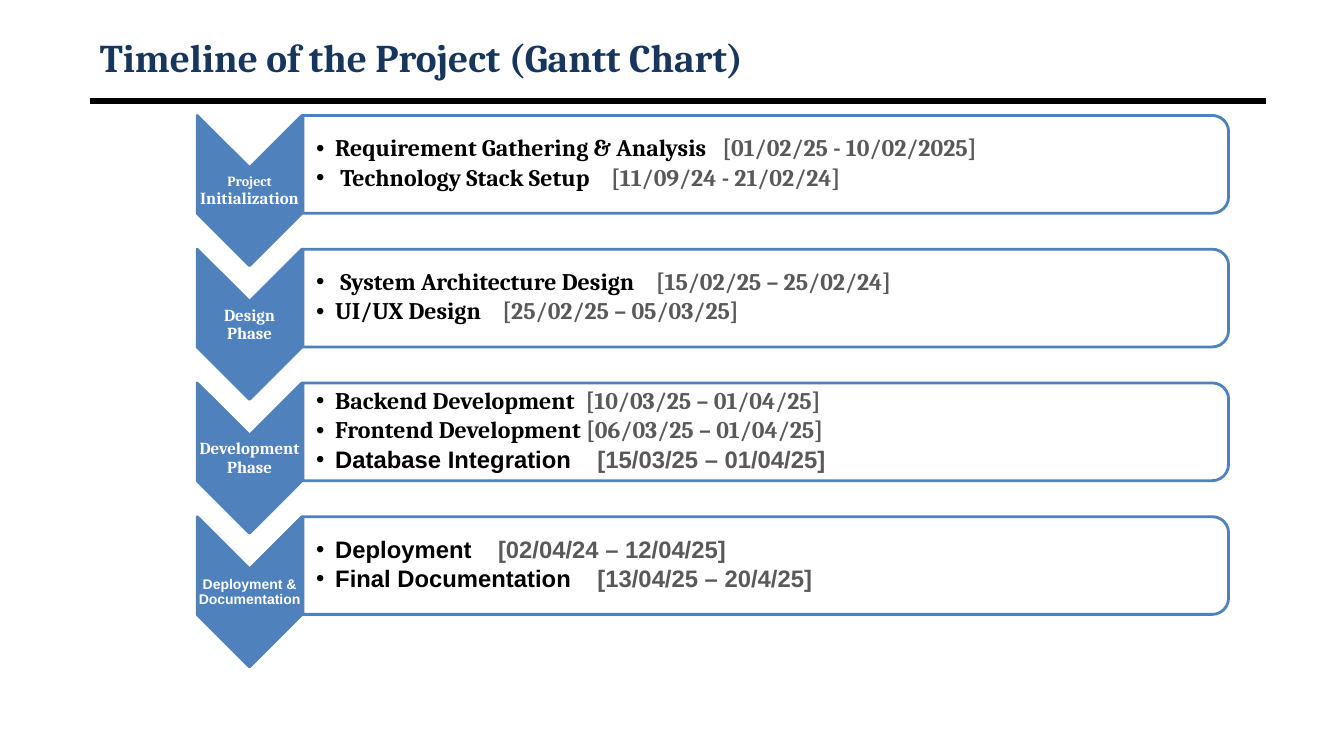
import dataclasses

import pptx
import pptx.dml.color
import pptx.enum.shapes
import pptx.enum.text
import pptx.oxml
import pptx.oxml.ns
import pptx.util

SHAPES = pptx.enum.shapes.MSO_SHAPE
ALIGN = pptx.enum.text.PP_ALIGN
SERIF, SANS = "Cambria", "Arial"


@dataclasses.dataclass(frozen=True)
class Theme:
    title: str = "17365D"
    accent: str = "4F81BD"
    white: str = "FFFFFF"
    black: str = "000000"
    date: str = "595959"
    title_size: int = 28
    task_size: int = 17
    line_spacing: float = 0.9


# Phase label runs (text, size), label font, tasks (name, date, font, extra gap in points)
PHASES = [
    ([("Project ", 10), ("Initialization", 12)], SERIF, [
        ("Requirement Gathering & Analysis", "[01/02/25 - 10/02/2025]", SERIF, 7.5),
        (" Technology Stack Setup", "[11/09/24 - 21/02/24]", SERIF, 11.5)]),
    ([("Design", 12), ("\n", 12), ("Phase", 12)], SERIF, [
        (" System Architecture Design", "[15/02/25 – 25/02/24]", SERIF, 11.5),
        ("UI/UX Design", "[25/02/25 – 05/03/25]", SERIF, 11.5)]),
    ([("Development Phase", 12)], SERIF, [
        ("Backend Development", "[10/03/25 – 01/04/25]", SERIF, 4),
        ("Frontend Development", "[06/03/25 – 01/04/25]", SERIF, 0),
        ("Database Integration", "[15/03/25 – 01/04/25]", SANS, 14)]),
    ([("Deployment & Documentation", 10)], SANS, [
        ("Deployment", "[02/04/24 – 12/04/25]", SANS, 14),
        ("Final Documentation", "[13/04/25 – 20/4/25]", SANS, 14)]),
]


class TimelineSlide:
    """Places elements by percent of the slide's width and height."""

    def __init__(self, deck, layout, theme):
        self.deck, self.theme = deck, theme
        self.slide = deck.slides.add_slide(layout)

    def box(self, left, top, width, height):
        across, down = self.deck.slide_width / 100, self.deck.slide_height / 100
        return [round(v) for v in (left * across, top * down, width * across, height * down)]

    def color(self, value):
        return pptx.dml.color.RGBColor.from_string(value)

    def xml(self, parent, markup):
        tag, rest = markup.split(" ", 1)
        element = pptx.oxml.parse_xml(f"<a:{tag} {pptx.oxml.ns.nsdecls('a')} {rest}")
        parent.append(element)

    def run(self, paragraph, text, size, font, color):
        run = paragraph.add_run()
        run.text = text
        run.font.size, run.font.name, run.font.bold = pptx.util.Pt(size), font, True
        run.font.color.rgb = self.color(color)
        return run

    def frame(self, holder, insets):
        frame = holder.text_frame
        frame.word_wrap = True
        frame.auto_size = pptx.enum.text.MSO_AUTO_SIZE.NONE
        frame.vertical_anchor = pptx.enum.text.MSO_ANCHOR.MIDDLE
        (frame.margin_left, frame.margin_top, frame.margin_right,
         frame.margin_bottom) = [pptx.util.Inches(inset) for inset in insets]
        return frame

    def spacing(self, paragraph, after):
        paragraph.line_spacing = self.theme.line_spacing
        paragraph.space_before = pptx.util.Pt(0)
        properties = paragraph._p.get_or_add_pPr()
        self.xml(properties, f'spcAft ><a:spcPct val="{after * 1000}"/></a:spcAft>')
        return properties

    def place(self, holder, *share):
        holder.left, holder.top, holder.width, holder.height = self.box(*share)

    def title(self, text, *share):
        title = self.slide.shapes.title
        self.place(title, *share)
        paragraph = self.frame(title, (0.1, 0.05, 0.1, 0.05)).paragraphs[0]
        paragraph.alignment = ALIGN.LEFT
        self.run(paragraph, text, self.theme.title_size, SERIF, self.theme.title)

    def rule(self, left, top, width):
        x, y, length, _ = self.box(left, top, width, 0)
        rule = self.slide.shapes.add_connector(
            pptx.enum.shapes.MSO_CONNECTOR.STRAIGHT, x, y, x + length, y)
        rule.line.color.rgb = self.color(self.theme.black)
        rule.line.width = pptx.util.Pt(4.5)
        self.xml(rule._element.spPr, "effectLst />")

    def turned_shape(self, kind, fill, *share, opacity=100):
        """Adds a shape turned by 90 degrees that covers the given area."""
        x, y, width, height = self.box(*share)
        shift = (width - height) // 2
        shape = self.slide.shapes.add_shape(kind, x + shift, y - shift, height, width)
        shape.rotation = 90
        shape.shadow.inherit = False
        shape.fill.solid()
        shape.fill.fore_color.rgb = self.color(fill)
        if opacity < 100:
            fill_color = shape._element.spPr.find(".//" + pptx.oxml.ns.qn("a:srgbClr"))
            self.xml(fill_color, f'alpha val="{opacity * 1000}"/>')
        shape.line.color.rgb = self.color(self.theme.accent)
        shape.line.width = pptx.util.Pt(2)

    def label(self, parts, font, *share):
        label = self.slide.shapes.add_textbox(*self.box(*share))
        paragraph = self.frame(label, [0.01] * 4).paragraphs[0]
        paragraph.alignment = ALIGN.CENTER
        self.spacing(paragraph, 35)
        for text, size in parts:
            if text == "\n":
                paragraph.add_line_break()
            else:
                self.run(paragraph, text, size, font, self.theme.white)

    def task_list(self, holder, tasks, *share):
        self.place(holder, *share)
        self.slide.shapes._spTree.append(holder._element)  # in front of its panel
        frame = self.frame(holder, (0.13, 0.01, 0.01, 0.01))
        size = self.theme.task_size
        for index, (name, date, font, gap) in enumerate(tasks):
            paragraph = frame.add_paragraph() if index else frame.paragraphs[0]
            paragraph.alignment = ALIGN.LEFT
            properties = self.spacing(paragraph, 15)
            indent = pptx.util.Inches(0.19)
            properties.set("marL", str(indent))
            properties.set("indent", str(-indent))
            self.xml(properties, f'buClr ><a:srgbClr val="{self.theme.black}"/></a:buClr>')
            self.xml(properties, f'buFont typeface="{SANS}"/>')
            self.xml(properties, 'buChar char="•"/>')
            self.run(paragraph, name, size, font, self.theme.black)
            space = self.run(paragraph, " ", size, font, self.theme.black)
            space.font._element.set("spc", str(round(gap * 100)))
            self.run(paragraph, date, size, font, self.theme.date)


def main():
    deck = pptx.Presentation()
    deck.slide_width, deck.slide_height = pptx.util.Inches(13.33), pptx.util.Inches(7.5)
    theme = Theme()
    page = TimelineSlide(deck, deck.slide_layouts.get_by_name("Comparison"), theme)

    # Heading
    page.title("Timeline of the Project (Gantt Chart)", 6.68, 4, 87.55, 7.07)
    page.rule(6.68, 13.33, 87.55)

    # One row per phase: chevron, label, panel, tasks
    first_row, row_step = 15.27, 17.69
    arrow_left, arrow_width = 14.67, 7.8
    panel_left = 22.54
    holders = [h for h in page.slide.placeholders if h.placeholder_format.idx > 0]
    for row, (holder, (parts, font, tasks)) in enumerate(zip(holders, PHASES)):
        top = first_row + row * row_step
        page.turned_shape(SHAPES.CHEVRON, theme.accent, arrow_left, top, arrow_width, 19.87)
        page.label(parts, font, arrow_left, top + 7, arrow_width, 6)
        page.turned_shape(SHAPES.ROUND_2_SAME_RECTANGLE, theme.white,
                          panel_left, top, 68.87, 12.93, opacity=90)
        page.task_list(holder, tasks, panel_left, top + 0.6, 68.57, 11.6)

    deck.save("out.pptx")


if __name__ == "__main__":
    main()
